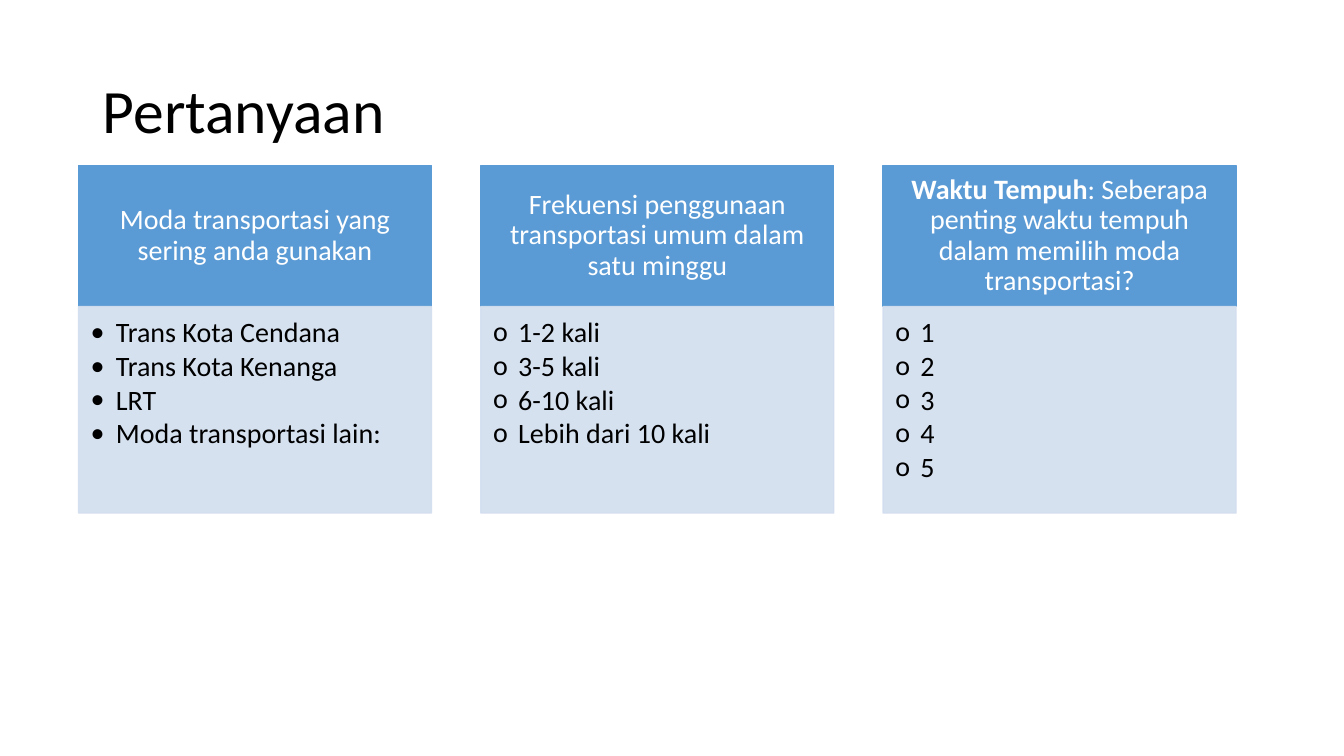
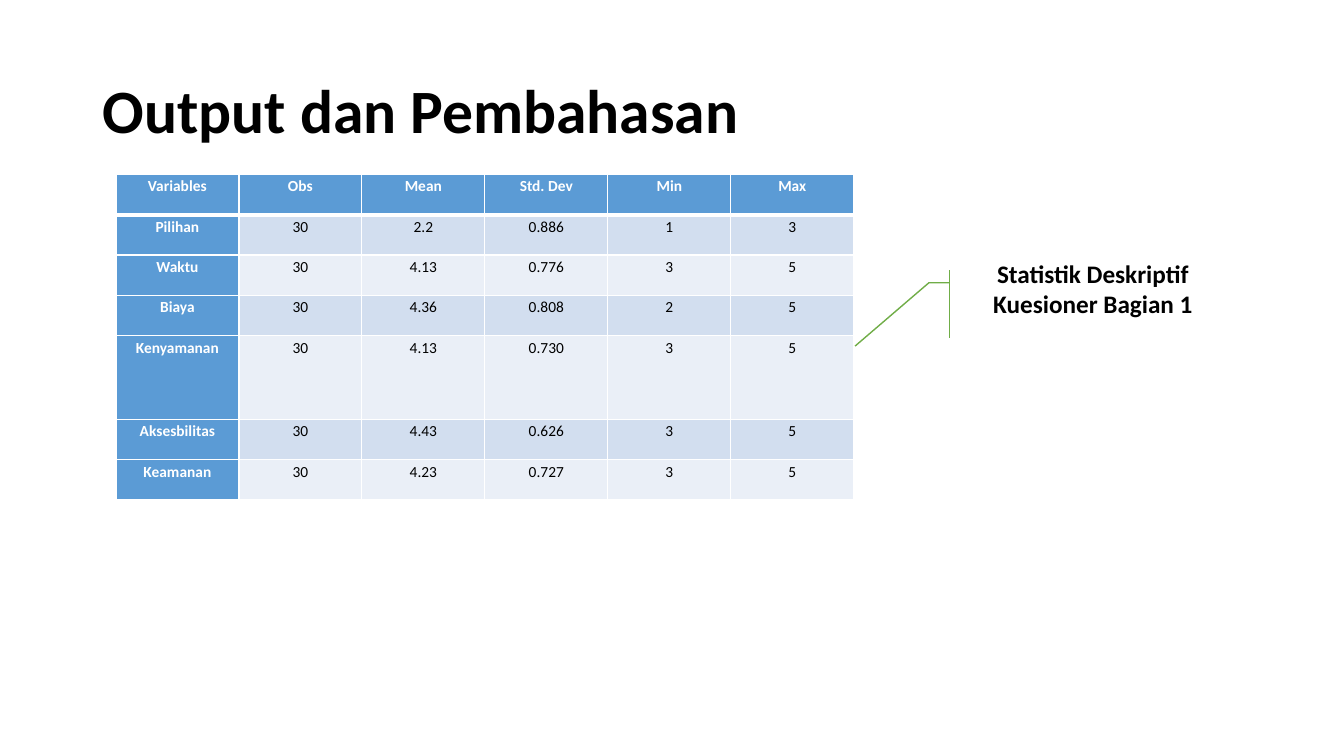
"""Build two slides: survey questions and descriptive statistics."""
from lxml import etree
from pptx import Presentation
from pptx.dml.color import RGBColor
from pptx.enum.shapes import MSO_SHAPE as SHAPE
from pptx.enum.text import MSO_ANCHOR as ANCHOR, PP_ALIGN as ALIGN
from pptx.oxml.ns import qn
from pptx.util import Inches, Pt

FONT = "Calibri"
COLORS = {
    "blue": "5B9BD5", "pale": "D2DEEF", "paler": "EAEFF7",
    "green": "70AD47", "white": "FFFFFF", "black": "000000",
}

QUESTIONS = [
    ([("Moda transportasi yang sering anda gunakan", False)], "•",
     ["Trans Kota Cendana", "Trans Kota Kenanga", "LRT", "Moda transportasi lain:"]),
    ([("Frekuensi penggunaan transportasi umum dalam satu minggu", False)], "o",
     ["1-2 kali", "3-5 kali", "6-10 kali", "Lebih dari 10 kali"]),
    ([("Waktu Tempuh", True),
      (": Seberapa penting waktu tempuh dalam memilih moda transportasi?", False)], "o",
     ["1", "2", "3", "4", "5"]),
]
STATISTICS = [
    ("Variables", "Obs", "Mean", "Std. Dev", "Min", "Max"),
    ("Pilihan", "30", "2.2", "0.886", "1", "3"),
    ("Waktu", "30", "4.13", "0.776", "3", "5"),
    ("Biaya", "30", "4.36", "0.808", "2", "5"),
    ("Kenyamanan", "30", "4.13", "0.730", "3", "5"),
    ("Aksesbilitas", "30", "4.43", "0.626", "3", "5"),
    ("Keamanan", "30", "4.23", "0.727", "3", "5"),
]
ROW_HEIGHTS = [0.4, 0.4, 0.4, 0.4, 0.83, 0.4, 0.4]
COLUMN_WIDTH = 1.22
CARD_LEFT, CARD_TOP, CARD_WIDTH, CARD_STEP = 0.78, 1.64, 3.5, 3.99
HEAD_HEIGHT, BODY_HEIGHT = 1.4, 2.05


def rgb(name):
    return RGBColor.from_string(COLORS[name])


def set_insets(target, left, top, right, bottom):
    target.margin_left, target.margin_top = Inches(left), Inches(top)
    target.margin_right, target.margin_bottom = Inches(right), Inches(bottom)


def add_run(p, text, size, color, bold=False):
    r = p.add_run()
    r.text = text
    r.font.name, r.font.size, r.font.bold = FONT, Pt(size), bold
    r.font.color.rgb = rgb(color)


def add_titled_slide(prs, title, bold=False):
    s = prs.slides.add_slide(prs.slide_layouts[5])
    sp = s.shapes.title
    sp.left, sp.top, sp.width, sp.height = map(Inches, (0.92, 0.4, 11.5, 1.45))
    sp.text_frame.vertical_anchor = ANCHOR.MIDDLE
    p = sp.text_frame.paragraphs[0]
    p.alignment, p.line_spacing = ALIGN.LEFT, 0.9
    add_run(p, title, 44, "black", bold)
    return s


def add_box(s, kind, place, fill, line, insets, anchor):
    sp = s.shapes.add_shape(kind, *map(Inches, place))
    sp.shadow.inherit = False
    sp.fill.solid()
    sp.fill.fore_color.rgb = rgb(fill)
    sp.line.color.rgb = rgb(line)
    sp.line.width = Pt(1)
    tf = sp.text_frame
    tf.word_wrap, tf.vertical_anchor = True, anchor
    set_insets(tf, *insets)
    return sp


def set_opacity(sp, percent):
    for color in sp.fill._xPr.iter(qn("a:srgbClr")):
        etree.SubElement(color, qn("a:alpha"), val=str(percent * 1000))


def set_bullet(p, char):
    pPr = p._p.get_or_add_pPr()
    pPr.set("marL", str(Inches(0.25)))
    pPr.set("indent", str(-Inches(0.25)))
    etree.SubElement(pPr, qn("a:buFont"), typeface=FONT)
    etree.SubElement(pPr, qn("a:buChar"), char=char)


def add_question(s, left, heading, bullet, options):
    head = add_box(s, SHAPE.RECTANGLE, (left, CARD_TOP, CARD_WIDTH, HEAD_HEIGHT),
                   "blue", "blue", (0.16, 0.09, 0.16, 0.09), ANCHOR.MIDDLE)
    p = head.text_frame.paragraphs[0]
    p.alignment, p.line_spacing = ALIGN.CENTER, 0.9
    for text, bold in heading:
        add_run(p, text, 20, "white", bold)

    body = add_box(s, SHAPE.RECTANGLE,
                   (left, CARD_TOP + HEAD_HEIGHT, CARD_WIDTH, BODY_HEIGHT),
                   "pale", "pale", (0.12, 0.12, 0.16, 0.17), ANCHOR.TOP)
    set_opacity(body, 90)
    tf = body.text_frame
    for i, option in enumerate(options):
        p = tf.add_paragraph() if i else tf.paragraphs[0]
        set_bullet(p, bullet)
        p.alignment, p.line_spacing, p.space_after = ALIGN.LEFT, 0.9, Pt(2.5)
        add_run(p, option, 20, "black")


def set_borders(cell, row):
    widths = {"lnL": 1, "lnR": 1, "lnT": 3 if row == 1 else 1, "lnB": 3 if row == 0 else 1}
    tcPr = cell._tc.get_or_add_tcPr()
    for side, width in widths.items():
        ln = etree.SubElement(tcPr, qn(f"a:{side}"), w=str(Pt(width)))
        fill = etree.SubElement(ln, qn("a:solidFill"))
        etree.SubElement(fill, qn("a:srgbClr"), val=COLORS["white"])


def add_statistics(s):
    rows, cols = len(STATISTICS), len(STATISTICS[0])
    table = s.shapes.add_table(rows, cols, Inches(1.15), Inches(1.73),
                               Inches(COLUMN_WIDTH * cols), Inches(sum(ROW_HEIGHTS))).table
    for column in table.columns:
        column.width = Inches(COLUMN_WIDTH)
    for i, values in enumerate(STATISTICS):
        table.rows[i].height = Inches(ROW_HEIGHTS[i])
        for j, value in enumerate(values):
            cell = table.cell(i, j)
            is_header = i == 0 or j == 0
            set_borders(cell, i)
            cell.fill.solid()
            cell.fill.fore_color.rgb = rgb("blue" if is_header else "pale" if i % 2 else "paler")
            set_insets(cell, 0.07, 0, 0.07, 0)
            p = cell.text_frame.paragraphs[0]
            p.alignment, p.line_spacing = ALIGN.CENTER, 1.15
            add_run(p, value, 11, "white" if is_header else "black", is_header)


def main():
    prs = Presentation()
    prs.slide_width, prs.slide_height = Inches(13.33), Inches(7.5)

    s = add_titled_slide(prs, "Pertanyaan")
    for i, question in enumerate(QUESTIONS):
        add_question(s, CARD_LEFT + i * CARD_STEP, *question)

    s = add_titled_slide(prs, "Output dan Pembahasan", bold=True)
    add_statistics(s)
    callout = add_box(s, SHAPE.LINE_CALLOUT_2_ACCENT_BAR, (9.62, 2.68, 2.44, 0.67),
                      "white", "green", (0.1, 0.05, 0.1, 0.35), ANCHOR.MIDDLE)
    p = callout.text_frame.paragraphs[0]
    p.alignment = ALIGN.CENTER
    add_run(p, "Statistik Deskriptif Kuesioner Bagian 1", 18, "black", True)

    prs.save("out.pptx")


if __name__ == "__main__":
    main()
